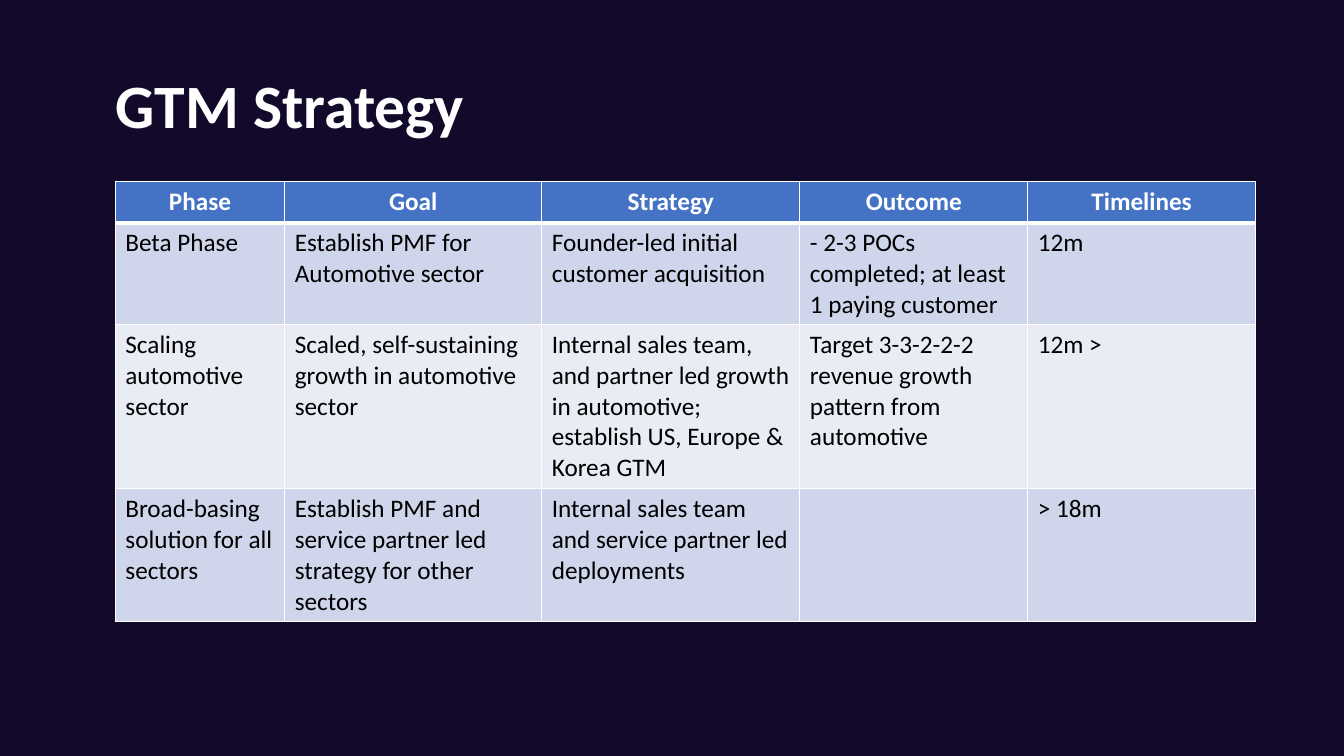
from dataclasses import dataclass

from lxml.etree import SubElement
from pptx import Presentation
from pptx.dml.color import RGBColor
from pptx.enum.text import MSO_ANCHOR, PP_ALIGN
from pptx.oxml.ns import qn
from pptx.util import Inches, Pt


@dataclass(frozen=True)
class Theme:
    font: str = "Calibri"
    background: str = "13092B"
    light: str = "FFFFFF"
    dark: str = "000000"
    header: str = "4472C4"
    bands: tuple = ("CFD5EA", "E9EBF5")
    title_size: int = 44
    table_size: int = 18
    border: int = 1
    header_rule: int = 3


@dataclass(frozen=True)
class Box:
    left: int
    top: int
    width: int
    height: int

    def inner(self, left, top, width, height):
        """Return an inner box given in percent of this one."""
        return Box(self.left + int(self.width * left / 100),
                   self.top + int(self.height * top / 100),
                   int(self.width * width / 100),
                   int(self.height * height / 100))

    def bounds(self):
        return self.left, self.top, self.width, self.height


THEME = Theme()
COLUMN_SHARES = (1.68, 2.55, 2.56, 2.26, 2.26)
ROW_SHARES = (0.41, 1.01, 1.63, 1.32)
PHASES = (
    ("Phase", "Goal", "Strategy", "Outcome", "Timelines"),
    ("Beta Phase", "Establish PMF for Automotive sector",
     "Founder-led initial customer acquisition",
     "- 2-3 POCs completed; at least 1 paying customer", "12m"),
    ("Scaling automotive sector",
     "Scaled, self-sustaining growth in automotive sector",
     "Internal sales team, and partner led growth in automotive; "
     "establish US, Europe & Korea GTM",
     "Target 3-3-2-2-2 revenue growth pattern from automotive", "12m >"),
    ("Broad-basing solution for all sectors",
     "Establish PMF and service partner led strategy for other sectors",
     "Internal sales team and service partner led deployments", "", "> 18m"),
)


def set_font(paragraph, size, color, bold):
    font = paragraph.font
    font.name = THEME.font
    font.size = Pt(size)
    font.bold = bold
    font.color.rgb = RGBColor.from_string(color)


def set_borders(cell, top, bottom):
    properties = cell._tc.get_or_add_tcPr()
    widths = {"L": THEME.border, "R": THEME.border, "T": top, "B": bottom}
    for side, width in widths.items():
        line = SubElement(properties, qn(f"a:ln{side}"), w=str(Pt(width)))
        fill = SubElement(line, qn("a:solidFill"))
        SubElement(fill, qn("a:srgbClr"), val=THEME.light)


def add_title(slide, box, text):
    frame = slide.shapes.add_textbox(*box.bounds()).text_frame
    frame.word_wrap = True
    frame.vertical_anchor = MSO_ANCHOR.MIDDLE
    paragraph = frame.paragraphs[0]
    paragraph.text = text
    paragraph.line_spacing = 0.9
    set_font(paragraph, THEME.title_size, THEME.light, True)


def style_cell(cell, row, text):
    is_header = row == 0
    set_borders(cell,
                top=THEME.header_rule if row == 1 else THEME.border,
                bottom=THEME.header_rule if is_header else THEME.border)
    cell.fill.solid()
    color = THEME.header if is_header else THEME.bands[(row - 1) % 2]
    cell.fill.fore_color.rgb = RGBColor.from_string(color)
    cell.text = text
    paragraph = cell.text_frame.paragraphs[0]
    paragraph.alignment = PP_ALIGN.CENTER if is_header else PP_ALIGN.LEFT
    set_font(paragraph, THEME.table_size,
             THEME.light if is_header else THEME.dark, is_header)


def add_phase_table(slide, box, rows):
    table = slide.shapes.add_table(
        len(rows), len(rows[0]), *box.bounds()).table
    for column, share in zip(table.columns, COLUMN_SHARES):
        column.width = int(box.width * share / sum(COLUMN_SHARES))
    for table_row, share in zip(table.rows, ROW_SHARES):
        table_row.height = int(box.height * share / sum(ROW_SHARES))
    for row, texts in enumerate(rows):
        for column, text in enumerate(texts):
            style_cell(table.cell(row, column), row, text)


def add_strategy_slide(presentation, box):
    slide = presentation.slides.add_slide(presentation.slide_layouts[6])
    fill = slide.background.fill
    fill.solid()
    fill.fore_color.rgb = RGBColor.from_string(THEME.background)
    add_title(slide, box.inner(7.88, 4.67, 87.32, 19.33), "GTM Strategy")
    add_phase_table(slide, box.inner(8.58, 24, 84.85, 58.25), PHASES)


def main():
    presentation = Presentation()
    presentation.slide_width = Inches(13.33)
    presentation.slide_height = Inches(7.5)
    add_strategy_slide(presentation, Box(
        0, 0, presentation.slide_width, presentation.slide_height))
    presentation.save("out.pptx")


if __name__ == "__main__":
    main()
